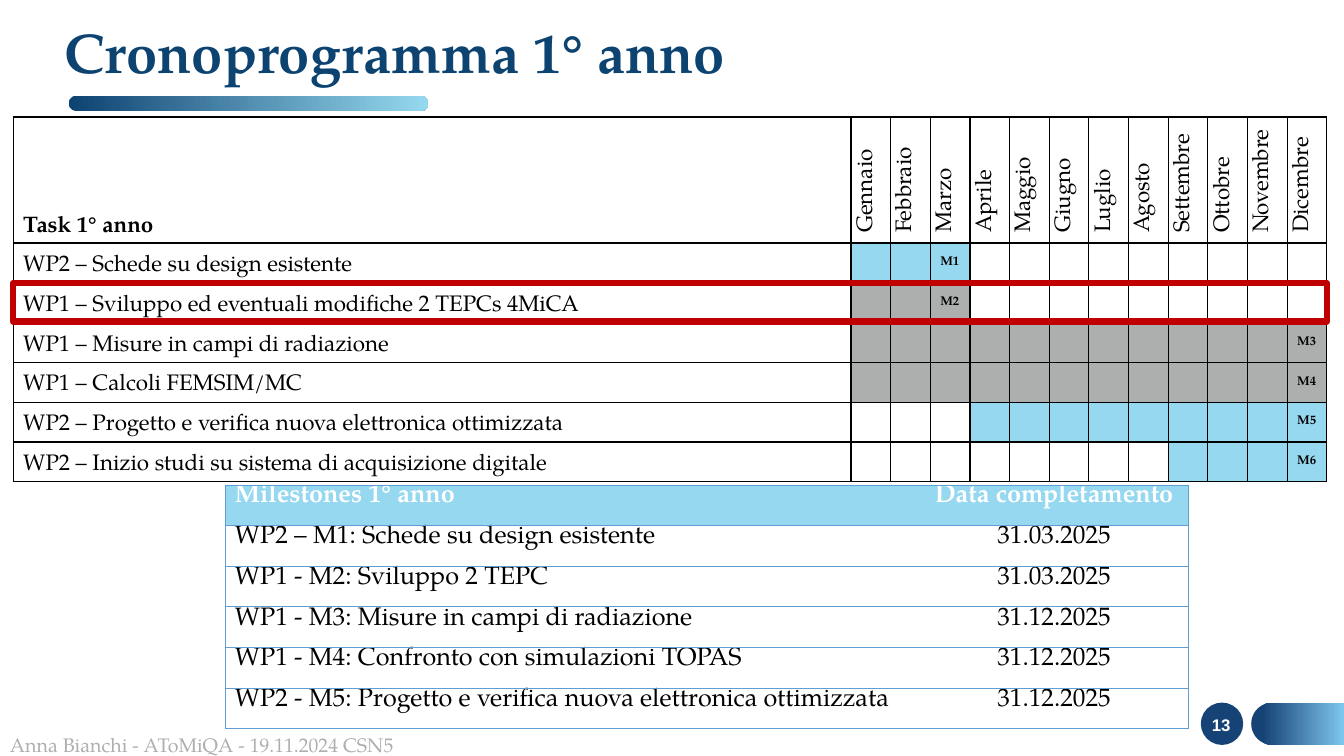
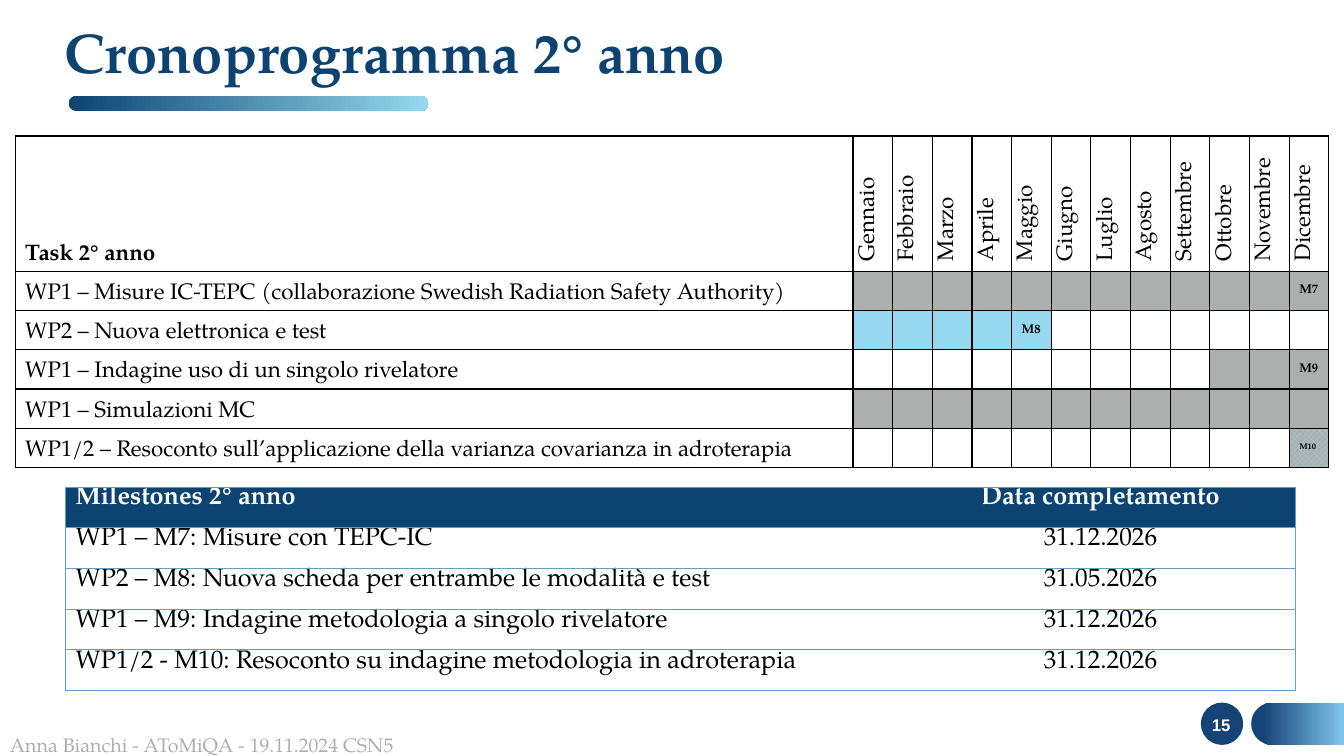
import math

import lxml.etree
import pptx
import pptx.dml.color
import pptx.enum.dml
import pptx.enum.shapes
import pptx.enum.text
import pptx.oxml.ns
import pptx.util

Inches = pptx.util.Inches
Pt = pptx.util.Pt
SHAPE = pptx.enum.shapes.MSO_SHAPE
ANCHOR = pptx.enum.text.MSO_ANCHOR
ALIGN = pptx.enum.text.PP_ALIGN

SERIF = "TeX Gyre Pagella"
NAVY, BADGE, SKY, TAIL = "0D4371", "164376", "96D8EF", "7FC6ED"
GREY, BLACK, WHITE, RULE, RED = "ADAFAE", "000000", "FFFFFF", "629DD1", "C00000"
MIXED = "mixed"
MONTHS = ["Gennaio", "Febbraio", "Marzo", "Aprile", "Maggio", "Giugno", "Luglio",
          "Agosto", "Settembre", "Ottobre", "Novembre", "Dicembre"]


def rgb(code):
    return pptx.dml.color.RGBColor.from_string(code)


class Deck:
    """Holds the shared style and the slide being built."""

    def __init__(self):
        self.prs = pptx.Presentation()
        self.prs.slide_width, self.prs.slide_height = Inches(13.33), Inches(7.5)
        self.slide = None

    def new_slide(self, title, number):
        self.slide = self.prs.slides.add_slide(self.prs.slide_layouts[6])
        self.tail()
        underline = self.shape(SHAPE.ROUNDED_RECTANGLE, 0.68, 0.95, 3.57, 0.15)
        underline.adjustments[0] = 0.5
        self.gradient(underline, NAVY, SKY)
        self.shape(SHAPE.OVAL, 11.91, 6.97, 0.42, 0.42, fill=BADGE)
        self.text(title, 0.54, 0.18, 12.21, 0.72, 40, NAVY, bold=True,
                  anchor=ANCHOR.BOTTOM, spacing=0.9)
        self.text("Anna Bianchi - AToMiQA - 19.11.2024 CSN5", 0, 7.22, 7.01, 0.28, 14, GREY)
        self.text(number, 11.92, 7.04, 0.42, 0.4, 12, WHITE, bold=True, font="Arial")

    def tail(self):
        radius, center_x, center_y = 0.21, 12.62, 7.18
        arc = [(center_x - radius * math.sin(math.pi * i / 24),
                center_y - radius * math.cos(math.pi * i / 24)) for i in range(25)]
        corners = [(13.33, center_y + radius), (13.33, center_y - radius)]
        points = [(Inches(x), Inches(y)) for x, y in arc + corners]
        builder = self.slide.shapes.build_freeform(*points[0])
        builder.add_line_segments(points[1:], close=True)
        outline = builder.convert_to_shape()
        outline.shadow.inherit = False
        outline.line.fill.background()
        self.gradient(outline, BADGE, TAIL, 0.12)

    def gradient(self, shape, start, end, offset=0):
        shape.fill.gradient()
        shape.fill.gradient_angle = 0
        for stop, code, position in zip(shape.fill.gradient_stops, (start, end), (offset, 1)):
            stop.color.rgb = rgb(code)
            stop.position = position

    def shape(self, kind, x, y, w, h, fill=None, line=None, weight=1):
        shape = self.slide.shapes.add_shape(kind, Inches(x), Inches(y), Inches(w), Inches(h))
        shape.shadow.inherit = False
        self.fill(shape.fill, fill)
        if line:
            shape.line.color.rgb = rgb(line)
            shape.line.width = Pt(weight)
        else:
            shape.line.fill.background()
        return shape

    def fill(self, target, code):
        if code is None:
            target.background()
        elif code == MIXED:
            target.patterned()
            target.pattern = pptx.enum.dml.MSO_PATTERN.SOLID_DIAMOND
            target.fore_color.rgb = rgb(SKY)
            target.back_color.rgb = rgb(GREY)
        else:
            target.solid()
            target.fore_color.rgb = rgb(code)

    def set_text(self, paragraph, text, size, color, bold=False, font=SERIF):
        paragraph.text = text
        paragraph.font.name, paragraph.font.size = font, Pt(size)
        paragraph.font.bold = bold
        paragraph.font.color.rgb = rgb(color)

    def text(self, text, x, y, w, h, size, color, bold=False, font=SERIF,
             anchor=ANCHOR.TOP, spacing=None):
        box = self.slide.shapes.add_textbox(Inches(x), Inches(y), Inches(w), Inches(h))
        frame = box.text_frame
        frame.word_wrap = True
        frame.vertical_anchor = anchor
        self.set_text(frame.paragraphs[0], text, size, color, bold, font)
        if spacing:
            frame.paragraphs[0].line_spacing = spacing

    def table(self, x, y, widths, heights):
        frame = self.slide.shapes.add_table(len(heights), len(widths), Inches(x), Inches(y),
                                            Inches(sum(widths)), Inches(sum(heights)))
        table = frame.table
        table.first_row = table.horz_banding = False
        for column, width in zip(table.columns, widths):
            column.width = Inches(width)
        for row, height in zip(table.rows, heights):
            row.height = Inches(height)
        return table

    def cell(self, cell, text, size, bold=False, color=BLACK, fill=WHITE,
             border=BLACK, weight=1, sides="LRTB", anchor=ANCHOR.BOTTOM):
        properties = cell._tc.get_or_add_tcPr()
        for side in "LRTB":
            edge = lxml.etree.SubElement(properties, pptx.oxml.ns.qn("a:ln" + side),
                                         w=str(Pt(weight)))
            if side in sides:
                paint = lxml.etree.SubElement(edge, pptx.oxml.ns.qn("a:solidFill"))
                lxml.etree.SubElement(paint, pptx.oxml.ns.qn("a:srgbClr"), val=border)
            else:
                lxml.etree.SubElement(edge, pptx.oxml.ns.qn("a:noFill"))
        self.fill(cell.fill, fill)
        cell.vertical_anchor = anchor
        self.set_text(cell.text_frame.paragraphs[0], text, size, color, bold)

    def schedule(self, heading, tasks, x, y, header_height, height):
        label_width, total_width = 8.31, 13.03
        month_width = (total_width - label_width) / len(MONTHS)
        row_height = (height - header_height) / len(tasks)
        table = self.table(x, y, [label_width] + [month_width] * len(MONTHS),
                           [header_height] + [row_height] * len(tasks))
        self.cell(table.cell(0, 0), heading, 16, bold=True)
        for column, month in enumerate(MONTHS, 1):
            header = table.cell(0, column)
            self.cell(header, month, 16, anchor=ANCHOR.TOP)
            header._tc.get_or_add_tcPr().set("vert", "vert270")
        for row, (task, first, last, color, milestone) in enumerate(tasks, 1):
            self.cell(table.cell(row, 0), task, 16)
            for column in range(1, len(MONTHS) + 1):
                slot = table.cell(row, column)
                slot.margin_top = slot.margin_bottom = slot.margin_right = 0
                self.cell(slot, milestone if column == last else "",
                          6 if color == MIXED else 9, bold=True,
                          fill=color if first <= column <= last else WHITE,
                          anchor=ANCHOR.MIDDLE)

    def milestones(self, heading, goals, x, y, widths, height, header_fill):
        rows = [(heading, "Data completamento")] + goals
        table = self.table(x, y, widths, [height / len(rows)] * len(rows))
        for row, entries in enumerate(rows):
            is_header = row == 0
            for column, entry in enumerate(entries):
                cell = table.cell(row, column)
                cell.margin_top = cell.margin_bottom = 0
                self.cell(cell, entry, 18, bold=is_header,
                          color=WHITE if is_header else BLACK,
                          fill=header_fill if is_header else WHITE,
                          border=RULE, weight=0.5, sides=("LTB", "RTB")[column],
                          anchor=ANCHOR.TOP)
                if column == 1:
                    cell.text_frame.paragraphs[0].alignment = ALIGN.CENTER


def main():
    deck = Deck()

    deck.new_slide("Cronoprogramma 1° anno", "13")
    deck.schedule("Task 1° anno", [
        ("WP2 – Schede su design esistente", 1, 3, SKY, "M1"),
        ("WP1 – Sviluppo ed eventuali modifiche 2 TEPCs 4MiCA", 1, 3, GREY, "M2"),
        ("WP1 – Misure in campi di radiazione", 1, 12, GREY, "M3"),
        ("WP1 – Calcoli FEMSIM/MC", 1, 12, GREY, "M4"),
        ("WP2 – Progetto e verifica nuova elettronica ottimizzata", 4, 12, SKY, "M5"),
        ("WP2 – Inizio studi su sistema di acquisizione digitale", 9, 12, SKY, "M6"),
    ], 0.13, 1.16, 1.25, 3.62)
    deck.shape(SHAPE.RECTANGLE, 0.13, 2.81, 13.03, 0.38, line=RED, weight=4.5)
    deck.milestones("Milestones 1° anno", [
        ("WP2 – M1: Schede su design esistente", "31.03.2025"),
        ("WP1 - M2: Sviluppo 2 TEPC", "31.03.2025"),
        ("WP1 - M3: Misure in campi di radiazione", "31.12.2025"),
        ("WP1 - M4: Confronto con simulazioni TOPAS", "31.12.2025"),
        ("WP2 - M5: Progetto e verifica nuova elettronica ottimizzata", "31.12.2025"),
    ], 2.23, 4.81, [6.89, 2.67], 2.42, SKY)

    deck.new_slide("Cronoprogramma 2° anno", "15")
    deck.schedule("Task 2° anno", [
        ("WP1 – Misure IC-TEPC (collaborazione Swedish Radiation Safety Authority)",
         1, 12, GREY, "M7"),
        ("WP2 – Nuova elettronica e test", 1, 5, SKY, "M8"),
        ("WP1 – Indagine uso di un singolo rivelatore", 10, 12, GREY, "M9"),
        ("WP1 – Simulazioni MC", 1, 12, GREY, ""),
        ("WP1/2 – Resoconto sull’applicazione della varianza covarianza in adroterapia",
         12, 12, MIXED, "M10"),
    ], 0.15, 1.35, 1.34, 3.29)
    deck.milestones("Milestones 2° anno", [
        ("WP1 – M7: Misure con TEPC-IC", "31.12.2026"),
        ("WP2 – M8: Nuova scheda per entrambe le modalità e test", "31.05.2026"),
        ("WP1 – M9: Indagine metodologia a singolo rivelatore", "31.12.2026"),
        ("WP1/2 - M10: Resoconto su indagine metodologia in adroterapia", "31.12.2026"),
    ], 0.65, 4.83, [8.33, 3.87], 2.02, NAVY)

    deck.prs.save("out.pptx")


if __name__ == "__main__":
    main()
